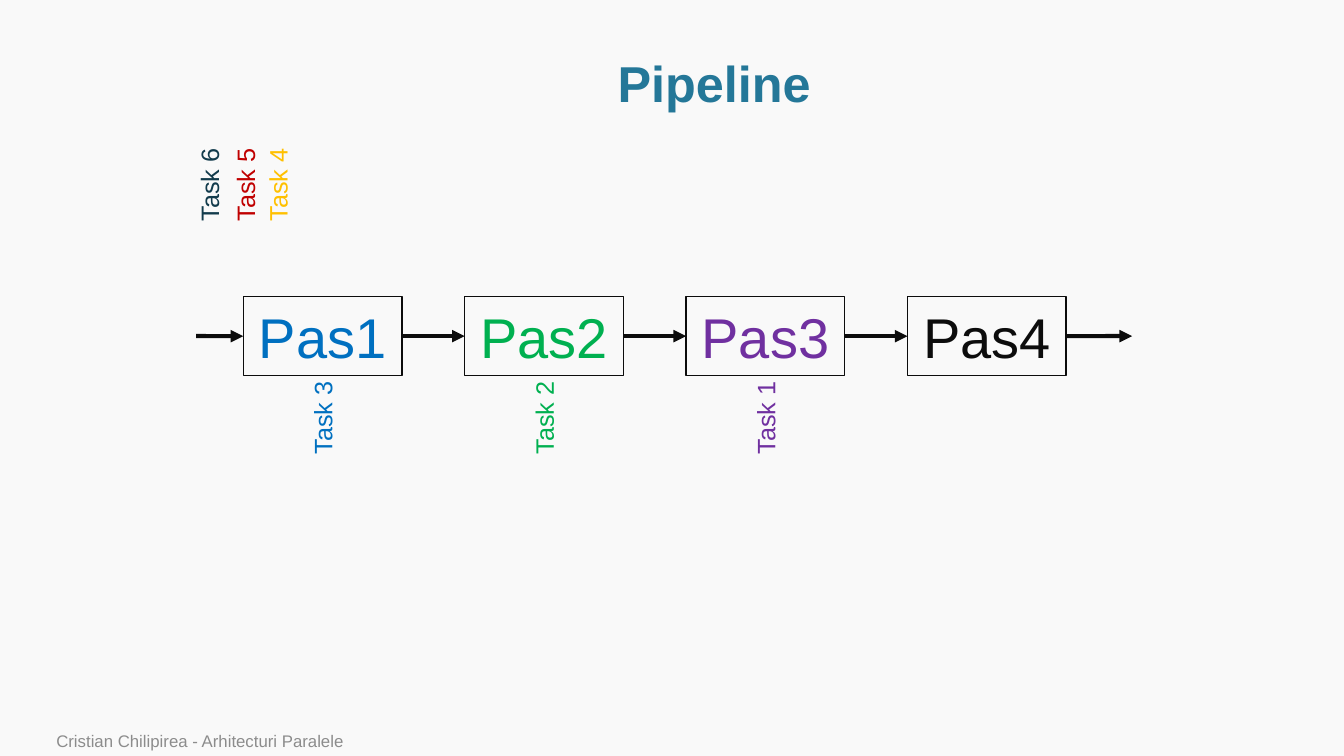
import pptx
import pptx.dml.color
import pptx.enum.shapes
import pptx.enum.text
import pptx.oxml
import pptx.oxml.ns
import pptx.util

Cm = pptx.util.Cm
Pt = pptx.util.Pt
Anchor = pptx.enum.text.MSO_ANCHOR
Align = pptx.enum.text.PP_ALIGN

TITLE = "Pipeline"
FOOTER = "Cristian Chilipirea - Arhitecturi Paralele"
COLOURS = {
    "background": "F9F9F9", "title": "247798", "footer": "8C8C8C",
    "black": "0C0C0C", "blue": "0070C0", "green": "00B050",
    "purple": "7030A0", "yellow": "FFC000", "red": "C00000", "navy": "123B4C",
}
STEPS = [("Pas1", "blue"), ("Pas2", "green"), ("Pas3", "purple"), ("Pas4", "black")]
RUNNING_TASKS = [("Task 3", "blue"), ("Task 2", "green"), ("Task 1", "purple")]
WAITING_TASKS = [("Task 4", "yellow", 7), ("Task 5", "red", 6.18), ("Task 6", "navy", 5.27)]

STEP_LEFT, STEP_TOP, STEP_WIDTH, STEP_HEIGHT, STEP_PITCH = 6.13, 7.47, 4, 2, 5.58
ARROW_Y = STEP_TOP + STEP_HEIGHT / 2
FLOW_START, FLOW_END = 4.94, 28.53
TASK_WIDTH, TASK_HEIGHT = 2.36, 1.02
RUNNING_Y, WAITING_Y = 10.52, 4.65


def rgb(name):
    return pptx.dml.color.RGBColor.from_string(COLOURS[name])


def write(shape, text, *, size, colour, bold=False, align=Align.LEFT,
          anchor=Anchor.TOP, wrap=True, spacing=None):
    frame = shape.text_frame
    frame.word_wrap = wrap
    frame.vertical_anchor = anchor
    paragraph = frame.paragraphs[0]
    paragraph.alignment = align
    if spacing:
        paragraph.line_spacing = spacing
    run = paragraph.add_run()
    run.text = text
    run.font.name = "Arial"
    run.font.size = Pt(size)
    run.font.bold = bold
    run.font.color.rgb = rgb(colour)


def add_text(slide, box, text, **style):
    shape = slide.shapes.add_textbox(*map(Cm, box))
    write(shape, text, **style)
    return shape


def add_step(slide, index, text, colour):
    shape = slide.shapes.add_shape(
        pptx.enum.shapes.MSO_SHAPE.RECTANGLE, Cm(STEP_LEFT + index * STEP_PITCH),
        Cm(STEP_TOP), Cm(STEP_WIDTH), Cm(STEP_HEIGHT))
    shape.shadow.inherit = False
    shape.fill.background()
    shape.line.color.rgb = rgb("black")
    shape.line.width = Pt(1)
    write(shape, text, size=40, colour=colour, align=Align.CENTER, anchor=Anchor.MIDDLE)
    return shape


def add_arrow(slide, source, target):
    connector = slide.shapes.add_connector(
        pptx.enum.shapes.MSO_CONNECTOR.STRAIGHT,
        Cm(FLOW_START), Cm(ARROW_Y), Cm(FLOW_END), Cm(ARROW_Y))
    if source is not None:
        connector.begin_connect(source, 3)
    if target is not None:
        connector.end_connect(target, 1)
    connector.line.color.rgb = rgb("black")
    connector.line.width = Pt(3)
    namespace = pptx.oxml.ns.nsdecls("a")
    connector.line._get_or_add_ln().append(
        pptx.oxml.parse_xml(f'<a:tailEnd {namespace} type="triangle"/>'))
    connector._element.spPr.append(pptx.oxml.parse_xml(f"<a:effectLst {namespace}/>"))


def add_task(slide, text, colour, centre_x, centre_y):
    box = (centre_x - TASK_WIDTH / 2, centre_y - TASK_HEIGHT / 2, TASK_WIDTH, TASK_HEIGHT)
    shape = add_text(slide, box, text, size=18, colour=colour, wrap=False)
    shape.text_frame.auto_size = pptx.enum.text.MSO_AUTO_SIZE.SHAPE_TO_FIT_TEXT
    shape.rotation = 270


def main():
    """Build the pipeline slide and save it."""
    presentation = pptx.Presentation()
    presentation.slide_width = Cm(33.87)
    presentation.slide_height = Cm(19.05)
    slide = presentation.slides.add_slide(presentation.slide_layouts[6])
    slide.background.fill.solid()
    slide.background.fill.fore_color.rgb = rgb("background")

    add_text(slide, (2.9, 1.3, 30.2, 1.75), TITLE, size=36, colour="title", bold=True,
             align=Align.CENTER, anchor=Anchor.MIDDLE, spacing=0.9)
    steps = [add_step(slide, index, *step) for index, step in enumerate(STEPS)]
    for source, target in zip([None, *steps], [*steps, None]):
        add_arrow(slide, source, target)
    for index, (text, colour) in enumerate(RUNNING_TASKS):
        centre_x = STEP_LEFT + STEP_WIDTH / 2 + index * STEP_PITCH
        add_task(slide, text, colour, centre_x, RUNNING_Y)
    for text, colour, centre_x in WAITING_TASKS:
        add_task(slide, text, colour, centre_x, WAITING_Y)
    add_text(slide, (1.17, 18.34, 24.94, 0.71), FOOTER, size=12, colour="footer",
             anchor=Anchor.BOTTOM)
    presentation.save("out.pptx")


if __name__ == "__main__":
    main()
